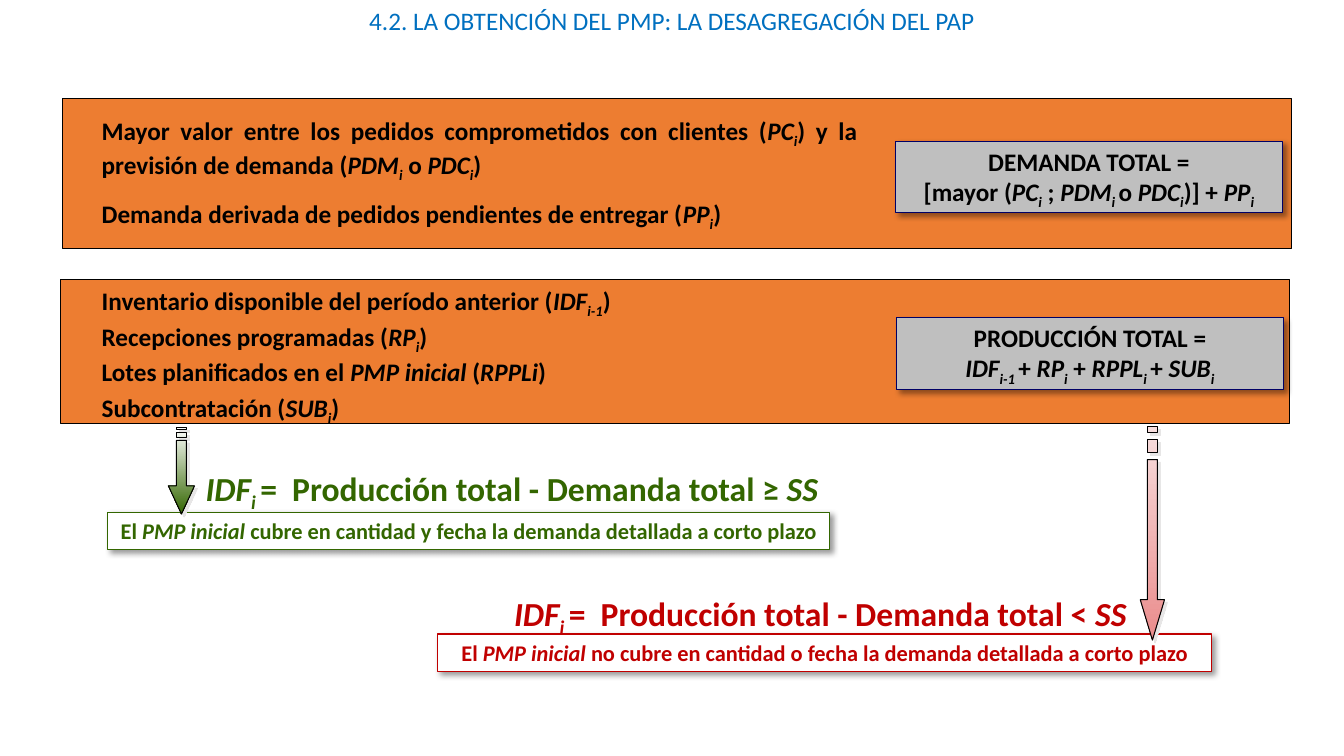
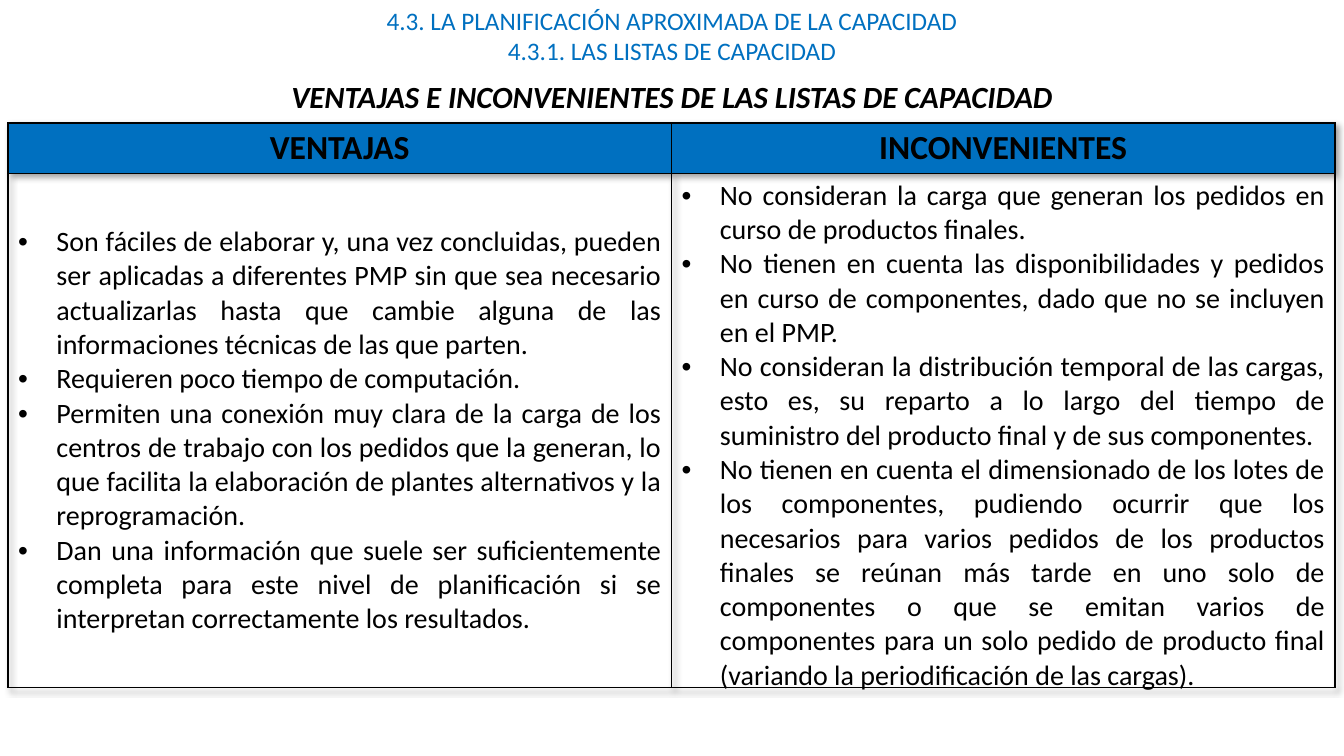
import lxml.etree
import pptx
import pptx.dml.color
import pptx.enum.shapes
import pptx.enum.text
import pptx.oxml
import pptx.oxml.ns
import pptx.util

Inches = pptx.util.Inches
Pt = pptx.util.Pt
ALIGN = pptx.enum.text.PP_ALIGN
ANCHOR = pptx.enum.text.MSO_ANCHOR
RECT = pptx.enum.shapes.MSO_SHAPE.RECTANGLE
qn = pptx.oxml.ns.qn

FONT = "Calibri"
BLACK, WHITE, BLUE = "000000", "FFFFFF", "0070C0"
ORANGE, GREY, NAVY = "ED7D31", "BFBFBF", "000066"
GREEN, RED = "336600", "C00000"

GOOD = [
    "Son fáciles de elaborar y, una vez concluidas, pueden ser aplicadas a diferentes PMP sin que sea necesario actualizarlas hasta que cambie alguna de las informaciones técnicas de las que parten.",
    "Requieren poco tiempo de computación.",
    "Permiten una conexión muy clara de la carga de los centros de trabajo con los pedidos que la generan, lo que facilita la elaboración de plantes alternativos y la reprogramación.",
    "Dan una información que suele ser suficientemente completa para este nivel de planificación si se interpretan correctamente los resultados.",
]
BAD = [
    "No consideran la carga que generan los pedidos en curso de productos finales.",
    "No tienen en cuenta las disponibilidades y pedidos en curso de componentes, dado que no se incluyen en el PMP.",
    "No consideran la distribución temporal de las cargas, esto es, su reparto a lo largo del tiempo de suministro del producto final y de sus componentes.",
    "No tienen en cuenta el dimensionado de los lotes de los componentes, pudiendo ocurrir que los necesarios para varios pedidos de los productos finales se reúnan más tarde en uno solo de componentes o que se emitan varios de componentes para un solo pedido de producto final (variando la periodificación de las cargas).",
]


def paint(text):
    return pptx.dml.color.RGBColor.from_string(text)


def add_part(parent, tag, **attrs):
    part = lxml.etree.SubElement(parent, qn(tag))
    for key, value in attrs.items():
        part.set(key, str(value))
    return part


def add_shade(effects, color, alpha, blur, dist):
    shade = add_part(effects, "a:outerShdw", blurRad=Pt(blur), dist=Pt(dist),
                     dir=2700000, algn="tl", rotWithShape=0)
    tone = add_part(shade, "a:srgbClr", val=color)
    add_part(tone, "a:alpha", val=alpha * 1000)


def shade_shape(shape, *shade):
    add_shade(shape._element.spPr.find(qn("a:effectLst")), *shade)


def write(frame, lines, size, color, align, bold=True):
    """Underscores mark italics; tildes inside them mark subscripts."""
    for row, line in enumerate(lines):
        para = frame.add_paragraph() if row else frame.paragraphs[0]
        para.alignment = align
        for slant, part in enumerate(line.split("_")):
            for low, bit in enumerate(part.split("~")):
                if not bit:
                    continue
                run = para.add_run()
                run.text = bit
                font = run.font
                font.name, font.size, font.bold = FONT, Pt(size), bold
                font.italic = slant % 2 == 1
                font.color.rgb = paint(color)
                if low % 2:
                    run._r.get_or_add_rPr().set("baseline", "-25000")


def add_text(slide, place, line, size=18, color=BLACK, align=ALIGN.JUSTIFY, bold=True, wrap=True):
    box = slide.shapes.add_textbox(*map(Inches, place))
    box.text_frame.word_wrap = wrap
    write(box.text_frame, [line], size, color, align, bold)


def add_title(slide, *lines):
    for row, line in enumerate(lines):
        add_text(slide, (0, row * 0.3, 13.33, 0.4), line, color=BLUE, align=ALIGN.CENTER, bold=False)


def add_rect(slide, place, fill, edge):
    rect = slide.shapes.add_shape(RECT, *map(Inches, place))
    rect.shadow.inherit = False
    rect.fill.solid()
    rect.fill.fore_color.rgb = paint(fill)
    rect.line.color.rgb = paint(edge)
    rect.line.width = Pt(0.75)
    return rect


def add_card(slide, place, lines, fill, edge, color, size):
    card = add_rect(slide, place, fill, edge)
    shade_shape(card, BLACK, 40, 4, 3)
    card.text_frame.word_wrap = True
    card.text_frame.vertical_anchor = ANCHOR.TOP
    write(card.text_frame, lines, size, color, ALIGN.CENTER)


def add_arrow(slide, x, half, top, neck, tip, bars, tones):
    stem = 0.05
    head = [(x + half, neck), (x + stem, neck), (x + stem, top), (x - stem, top),
            (x - stem, neck), (x - half, neck), (x, tip)]
    loops = [head] + [[(x + stem, a), (x - stem, a), (x - stem, b), (x + stem, b)] for a, b in bars]
    loops = [[(Inches(h), Inches(v)) for h, v in loop] for loop in loops]
    pen = slide.shapes.build_freeform(*loops[0][0])
    for row, loop in enumerate(loops):
        if row:
            pen.move_to(*loop[0])
        pen.add_line_segments(loop[1:], close=True)
    arrow = pen.convert_to_shape()
    arrow.shadow.inherit = False
    arrow.fill.gradient()
    arrow.fill.gradient_angle = 270
    for stop, tone in zip(arrow.fill.gradient_stops, tones):
        stop.color.rgb = paint(tone)
    arrow.line.color.rgb = paint(BLACK)
    arrow.line.width = Pt(0.75)
    shade_shape(arrow, "E7E6E6", 100, 0, 2.8)


def add_edges(cell):
    props = cell._tc.get_or_add_tcPr()
    for row, side in enumerate(("a:lnL", "a:lnR", "a:lnT", "a:lnB")):
        edge = lxml.etree.Element(qn(side), w=str(Pt(1)))
        add_part(add_part(edge, "a:solidFill"), "a:srgbClr", val=BLACK)
        props.insert(row, edge)


def add_dots(frame):
    for para in frame.paragraphs:
        props = para._p.get_or_add_pPr()
        props.set("marL", str(Inches(0.38)))
        props.set("indent", str(-Inches(0.38)))
        add_part(props, "a:buFont", typeface="Arial")
        add_part(props, "a:buChar", char="•")


def add_grid(slide, place, heights, heads, lists):
    table = slide.shapes.add_table(2, len(heads), *map(Inches, place)).table
    table.first_row = table.horz_banding = False
    effects = lxml.etree.Element(qn("a:effectLst"))
    table._tbl.tblPr.insert(0, effects)
    add_shade(effects, BLACK, 40, 4, 3)
    for row, height in zip(table.rows, heights):
        row.height = Inches(height)
    for col, (head, items) in enumerate(zip(heads, lists)):
        top, body = table.cell(0, col), table.cell(1, col)
        write(top.text_frame, [head], 24, BLACK, ALIGN.CENTER)
        top.fill.solid()
        top.fill.fore_color.rgb = paint(BLUE)
        write(body.text_frame, items, 20, BLACK, ALIGN.JUSTIFY, False)
        add_dots(body.text_frame)
        body.fill.background()
        body.vertical_anchor = ANCHOR.MIDDLE
        add_edges(top)
        add_edges(body)


def draw_plan(slide):
    add_title(slide, "4.2. LA OBTENCIÓN DEL PMP: LA DESAGREGACIÓN DEL PAP")
    add_rect(slide, (0.6, 2.77, 12.19, 1.43), ORANGE, BLACK)
    add_rect(slide, (0.62, 0.98, 12.19, 1.49), ORANGE, BLACK)
    sums = [
        (8.89, 3.15, "PRODUCCIÓN TOTAL =", "_IDF~i-1 ~_+ _RP~i~_ + _RPPL~i ~_+ _SUB~i~_"),
        (8.88, 1.4, "DEMANDA TOTAL =", "[mayor (_PC~i~_ ; _PDM~i ~_o_ PDC~i~_)] + _PP~i~_"),
    ]
    for left, top, *lines in sums:
        add_card(slide, (left, top, 3.84, 0.71), lines, GREY, NAVY, BLACK, 18)
    terms = [
        (1.09, "Mayor valor entre los pedidos comprometidos con clientes (_PC~i~_) y la previsión de demanda (_PDM~i~_ o _PDC~i~_)"),
        (1.92, "Demanda derivada de pedidos pendientes de entregar (_PP~i~_)"),
        (2.78, "Inventario disponible del período anterior (_IDF~i-1~_)"),
        (3.14, "Recepciones programadas (_RP~i~_)"),
        (3.49, "Lotes planificados en el _PMP inicial _(_RPPLi_)"),
        (3.84, "Subcontratación (_SUB~i~_)"),
    ]
    for top, line in terms:
        add_text(slide, (0.91, top, 7.69, 0.4), line)
    cases = [
        ((1.07, 5.08, 7.16, 0.37), (1.94, 4.59, 6.35, 0.51), GREEN, "≥", "cubre en cantidad y"),
        ((4.34, 6.29, 7.68, 0.37), (5, 5.83, 6.34, 0.51), RED, "<", "no cubre en cantidad o"),
    ]
    for card, place, color, sign, verb in cases:
        note = f"El _PMP inicial _{verb} fecha la demanda detallada a corto plazo"
        add_card(slide, card, [note], WHITE, color, color, 16)
        rule = f"_IDF~i ~_=  Producción total - Demanda total {sign} _SS_"
        add_text(slide, place, rule, 24, color, ALIGN.LEFT, wrap=False)
    add_arrow(slide, 1.8, 0.13, 4.37, 4.82, 5.1, [(4.29, 4.34), (4.24, 4.26)], (WHITE, GREEN))
    add_arrow(slide, 11.43, 0.12, 4.56, 5.95, 6.35, [(4.36, 4.49), (4.23, 4.29)], ("F7DEDE", "EA8C8C"))


def draw_lists(slide):
    add_title(slide, "4.3. LA PLANIFICACIÓN APROXIMADA DE LA CAPACIDAD", "4.3.1. LAS LISTAS DE CAPACIDAD")
    add_grid(slide, (0.08, 1.22, 13.16, 5.6), (0.5, 5.1), ("VENTAJAS", "INCONVENIENTES"), (GOOD, BAD))
    add_text(slide, (2.74, 0.72, 7.85, 0.47), "_VENTAJAS E INCONVENIENTES DE LAS LISTAS DE CAPACIDAD_",
             22, align=ALIGN.CENTER, wrap=False)


def main():
    deck = pptx.Presentation()
    deck.slide_width, deck.slide_height = Inches(13.33), Inches(7.5)
    for draw in (draw_plan, draw_lists):
        draw(deck.slides.add_slide(deck.slide_layouts[6]))
    deck.save("out.pptx")


if __name__ == "__main__":
    main()
